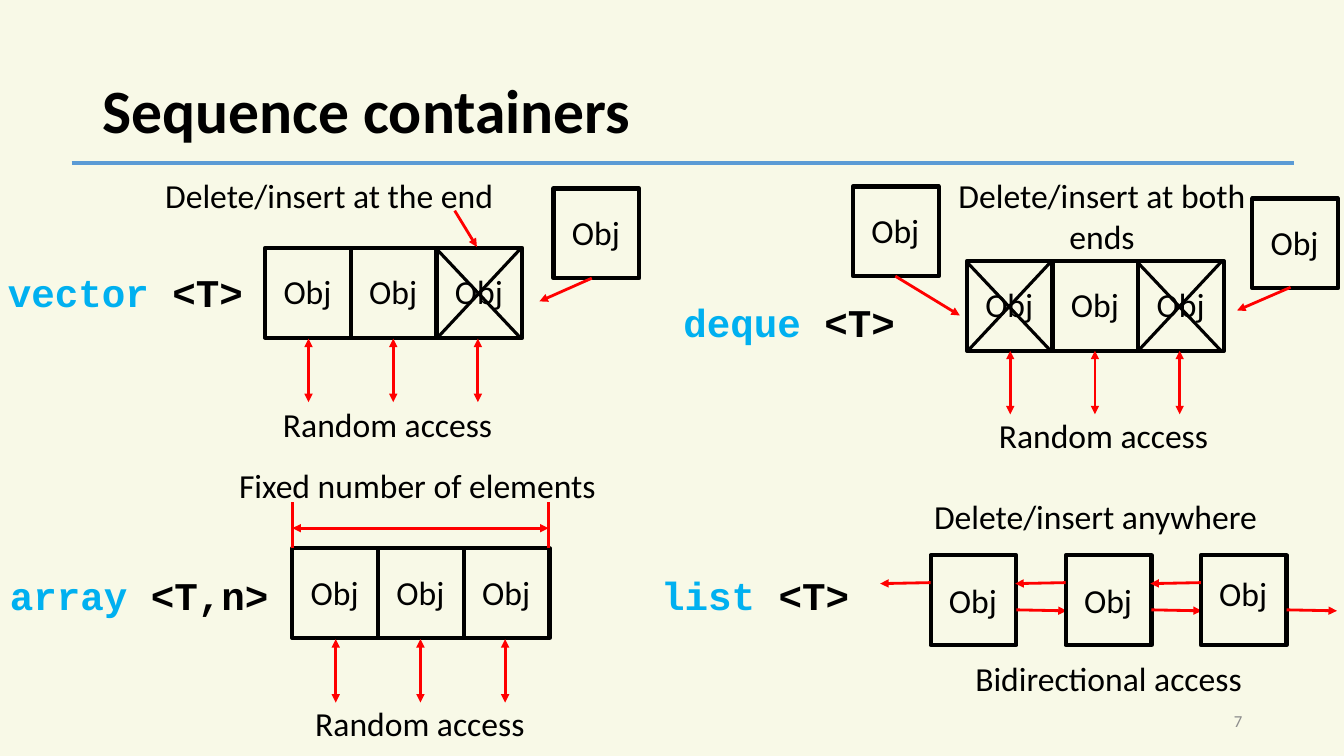
"""Build a slide that compares the C++ sequence containers."""
import pptx
import pptx.util
import pptx.dml.color
import pptx.enum.shapes
import pptx.enum.text
import pptx.oxml
import pptx.oxml.ns

Inches = pptx.util.Inches
ALIGN = pptx.enum.text.PP_ALIGN
ANCHOR = pptx.enum.text.MSO_ANCHOR
BLACK, RED, CYAN, BLUE = "000000", "FF0000", "00B0F0", "5B9BD5"
GRAY, CREAM = "8C8C8C", "F8F9E7"
BOX_W, BOX_H = 0.85, 0.89


def rgb(value):
    return pptx.dml.color.RGBColor.from_string(value)


class Slide:
    def __init__(self, prs):
        self.s = prs.slides.add_slide(prs.slide_layouts[6])
        self.s.background.fill.solid()
        self.s.background.fill.fore_color.rgb = rgb(CREAM)

    def text(self, x, y, w, h, runs, size=24, font="Calibri", bold=False,
             align=ALIGN.CENTER, anchor=ANCHOR.TOP, wrap=True, spacing=None):
        sp = self.s.shapes.add_textbox(Inches(x), Inches(y), Inches(w), Inches(h))
        tf = sp.text_frame
        tf.word_wrap = wrap
        tf.vertical_anchor = anchor
        p = tf.paragraphs[0]
        p.alignment = align
        p.line_spacing = spacing
        for words, color in runs:
            r = p.add_run()
            r.text = words
            r.font.name = font
            r.font.size = pptx.util.Pt(size)
            r.font.bold = bold
            r.font.color.rgb = rgb(color)

    def label(self, x, y, w, words, h=0.5):
        self.text(x, y, w, h, [(words, BLACK)])

    def container(self, x, y, w, name, params):
        self.text(x, y, w, 0.57, [(name, CYAN), (" " + params, BLACK)], size=28,
                  font="Courier New", bold=True, align=ALIGN.LEFT, wrap=False)

    def obj(self, x, y, drop=0.18):
        sp = self.s.shapes.add_shape(pptx.enum.shapes.MSO_SHAPE.RECTANGLE,
                                     Inches(x), Inches(y), Inches(BOX_W), Inches(BOX_H))
        sp.shadow.inherit = False
        sp.fill.background()
        sp.line.color.rgb = rgb(BLACK)
        sp.line.width = pptx.util.Pt(3)
        self.label(x + 0.05, y + drop, 0.74, "Obj")

    def row(self, x, y):
        for i in range(3):
            self.obj(x + i * BOX_W, y)

    def line(self, x1, y1, x2, y2, color=RED, width=2, ends=()):
        c = self.s.shapes.add_connector(pptx.enum.shapes.MSO_CONNECTOR.STRAIGHT,
                                        Inches(x1), Inches(y1), Inches(x2), Inches(y2))
        c.line.color.rgb = rgb(color)
        c.line.width = pptx.util.Pt(width)
        ln = c.line._get_or_add_ln()
        for end in ends:
            ln.append(pptx.oxml.parse_xml(
                f'<a:{end} {pptx.oxml.ns.nsdecls("a")} type="triangle"/>'))
        c._element.spPr.append(pptx.oxml.parse_xml(
            f'<a:effectLst {pptx.oxml.ns.nsdecls("a")}/>'))

    def arrow(self, x1, y1, x2, y2):
        self.line(x1, y1, x2, y2, ends=("tailEnd",))

    def double_arrow(self, x1, y1, x2, y2):
        self.line(x1, y1, x2, y2, ends=("headEnd", "tailEnd"))

    def cross(self, x, y):
        self.line(x + 0.84, y, x, y + 0.9, BLACK, 2.25)
        self.line(x, y + 0.01, x + 0.84, y + 0.9, BLACK, 2.25)

    def random_access(self, x, y, label_x, label_y):
        for i in range(3):
            self.double_arrow(x + i * 0.84, y, x + i * 0.84, y + 0.63)
        self.label(label_x, label_y, 3.17, "Random access")


def draw_header(sl):
    sl.text(0.92, 0.4, 11.5, 1.45, [("Sequence containers", BLACK)], size=44,
            bold=True, align=ALIGN.LEFT, anchor=ANCHOR.MIDDLE, spacing=0.9)
    sl.text(9.42, 6.95, 3, 0.4, [("7", GRAY)], size=12,
            align=ALIGN.RIGHT, anchor=ANCHOR.MIDDLE)
    sl.line(0.71, 1.62, 12.83, 1.62, BLUE, 3)


def draw_vector(sl):
    sl.container(-0.02, 2.61, 2.55, "vector", "<T>")
    sl.row(2.63, 2.46)
    sl.cross(4.33, 2.46)
    sl.obj(5.49, 1.87)
    sl.arrow(5.87, 2.76, 5.35, 2.99)
    sl.label(1.43, 1.69, 3.67, "Delete/insert at the end")
    sl.arrow(4.51, 2.09, 4.73, 2.45)
    sl.random_access(3.06, 3.36, 2.26, 3.96)


def draw_array(sl):
    sl.container(0, 5.62, 2.79, "array", "<T,n>")
    sl.row(2.9, 5.44)
    sl.label(1.81, 4.56, 4.66, "Fixed number of elements")
    sl.double_arrow(5.44, 5.24, 2.9, 5.24)
    for x in (2.9, 5.44):
        sl.line(x, 5.44, x, 4.98)
    sl.random_access(3.33, 6.34, 2.58, 6.92)


def draw_deque(sl):
    sl.container(6.68, 2.91, 2.32, "deque", "<T>")
    sl.row(9.59, 2.59)
    for x in (9.59, 11.28):
        sl.cross(x, 2.59)
    sl.obj(8.46, 1.85)
    sl.arrow(8.88, 2.74, 9.52, 3.13)
    sl.obj(12.42, 1.97)
    sl.arrow(12.8, 2.85, 12.27, 3.08)
    sl.label(9.31, 1.69, 3.24, "Delete/insert at both ends", h=0.91)
    sl.random_access(10.02, 3.48, 9.36, 4.07)


def draw_list(sl):
    sl.container(6.46, 5.62, 2.08, "list", "<T>")
    for x, drop in ((9.23, 0.19), (10.57, 0.19), (11.91, 0.12)):
        sl.obj(x, 5.51, drop)
        sl.arrow(x, 5.78, x - 0.5, 5.79)
        sl.arrow(x + BOX_W, 6.05, x + BOX_W + 0.5, 6.06)
    sl.label(8.92, 4.87, 3.89, "Delete/insert anywhere")
    sl.label(9.05, 6.48, 3.89, "Bidirectional access")


def main():
    prs = pptx.Presentation()
    prs.slide_width, prs.slide_height = Inches(13.33), Inches(7.5)
    sl = Slide(prs)
    for draw in (draw_header, draw_vector, draw_array, draw_deque, draw_list):
        draw(sl)
    prs.save("out.pptx")


if __name__ == "__main__":
    main()
